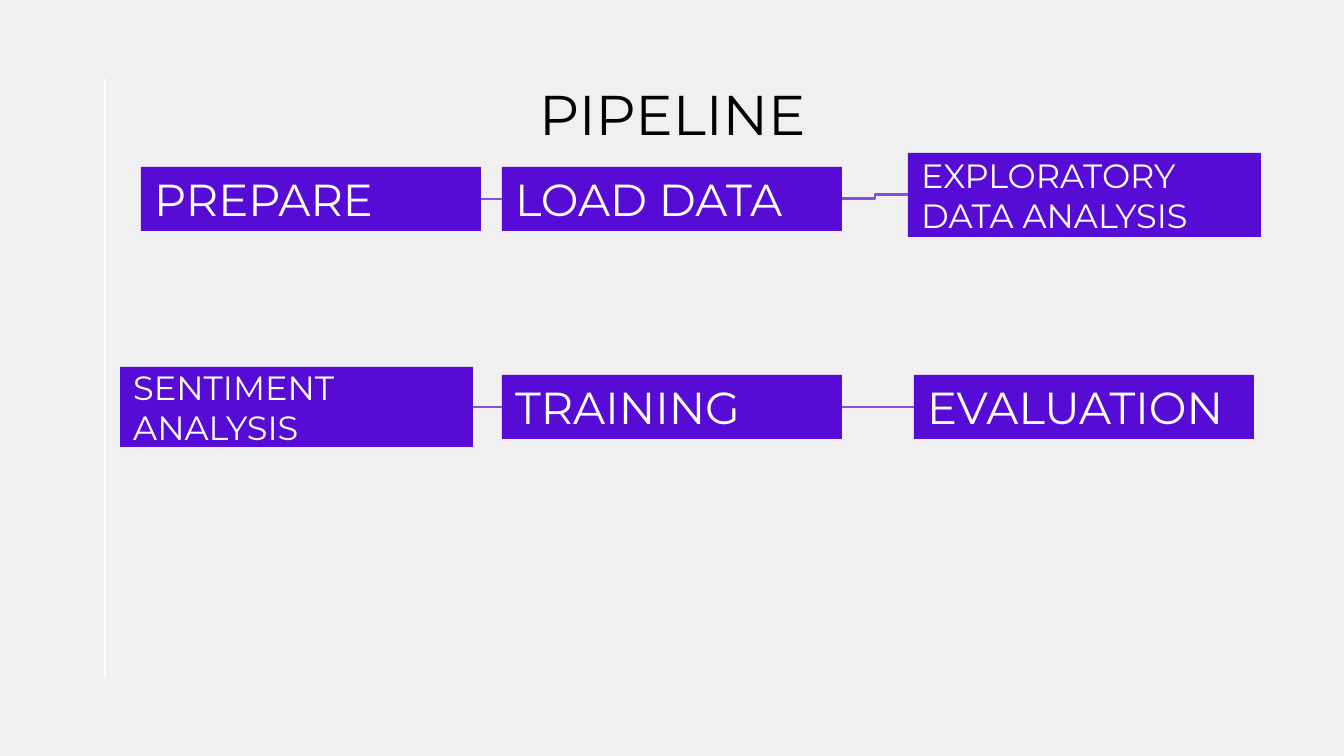
from dataclasses import dataclass

import pptx
import pptx.dml.color
import pptx.enum.shapes
import pptx.enum.text
import pptx.oxml
import pptx.util

EMU_PER_PX = 914400 / 134.4
FONT = "Montserrat"
COLORS = {
    "background": "F0F0F0",
    "title": "000300",
    "box": "560CD5",
    "box_text": "FFFFFF",
    "link": "844FE0",
    "rule": "FFFFFF",
}
CONNECTOR = pptx.enum.shapes.MSO_CONNECTOR
ANCHOR = pptx.enum.text.MSO_ANCHOR
ALIGN = pptx.enum.text.PP_ALIGN
TOP, LEFT, BOTTOM, RIGHT = range(4)


@dataclass
class Step:
    text: str
    left: int
    top: int
    width: int = 340
    height: int = 64
    size: int = 24


@dataclass
class Link:
    start: str
    start_side: int
    end: str
    end_side: int


STEPS = [
    Step("PREPARE", 141, 167),
    Step("LOAD DATA", 502, 167),
    Step("EXPLORATORY DATA ANALYSIS", 908, 153, 353, 84, 18),
    Step("SENTIMENT ANALYSIS", 120, 367, 353, 80, 18),
    Step("TRAINING", 502, 375),
    Step("EVALUATION", 914, 375),
]
LINKS = [
    Link("PREPARE", RIGHT, "LOAD DATA", LEFT),
    Link("LOAD DATA", RIGHT, "EXPLORATORY DATA ANALYSIS", LEFT),
    Link("EVALUATION", LEFT, "TRAINING", RIGHT),
    Link("TRAINING", LEFT, "SENTIMENT ANALYSIS", RIGHT),
]


def px(length: int) -> pptx.util.Emu:
    return pptx.util.Emu(round(length * EMU_PER_PX))


def color(name: str) -> pptx.dml.color.RGBColor:
    return pptx.dml.color.RGBColor.from_string(COLORS[name])


def set_text(shape, text: str, size: int, color_name: str, alignment, anchor) -> None:
    frame = shape.text_frame
    frame.text = text
    frame_format = {
        "word_wrap": True,
        "auto_size": pptx.enum.text.MSO_AUTO_SIZE.NONE,
        "vertical_anchor": anchor,
    }
    for side in ("left", "top", "right", "bottom"):
        frame_format[f"margin_{side}"] = pptx.util.Inches(0.1)
    for name, value in frame_format.items():
        setattr(frame, name, value)
    paragraph = frame.paragraphs[0]
    paragraph.alignment = alignment
    font = paragraph.runs[0].font
    for name, value in {"name": FONT, "size": pptx.util.Pt(size), "bold": False}.items():
        setattr(font, name, value)
    font.color.rgb = color(color_name)


def add_step(slide, step: Step):
    shape = slide.shapes.add_shape(
        pptx.enum.shapes.MSO_SHAPE.RECTANGLE,
        px(step.left), px(step.top), px(step.width), px(step.height),
    )
    shape.shadow.inherit = False
    shape.fill.solid()
    shape.fill.fore_color.rgb = color("box")
    shape.line.fill.background()
    set_text(shape, step.text, step.size, "box_text", ALIGN.LEFT, ANCHOR.MIDDLE)
    return shape


def add_line(slide, kind, color_name: str, start=(0, 0), end=(0, 0)):
    connector = slide.shapes.add_connector(kind, *map(px, start + end))
    connector.line.color.rgb = color(color_name)
    connector.line.width = pptx.util.Pt(1.5)
    properties = connector._element.spPr
    properties.append(pptx.oxml.parse_xml(
        '<a:effectLst xmlns:a="http://schemas.openxmlformats.org/drawingml/2006/main"/>'
    ))
    return connector


def main() -> None:
    presentation = pptx.Presentation()
    presentation.slide_width = px(1344)
    presentation.slide_height = px(756)
    slide = presentation.slides.add_slide(presentation.slide_layouts[5])
    slide.background.fill.solid()
    slide.background.fill.fore_color.rgb = color("background")

    # Title
    title = slide.shapes.title
    for name, value in {"left": 106, "top": 66, "width": 1133, "height": 84}.items():
        setattr(title, name, px(value))
    set_text(title, "PIPELINE", 30, "title", ALIGN.CENTER, ANCHOR.TOP)

    # Pipeline steps
    boxes = {step.text: add_step(slide, step) for step in STEPS}

    # Links between neighbouring steps
    for link in LINKS:
        connector = add_line(slide, CONNECTOR.ELBOW, "link")
        connector.begin_connect(boxes[link.start], link.start_side)
        connector.end_connect(boxes[link.end], link.end_side)

    # Vertical rule at the left margin
    add_line(slide, CONNECTOR.STRAIGHT, "rule", (105, 79), (105, 677))

    presentation.save("out.pptx")


if __name__ == "__main__":
    main()
